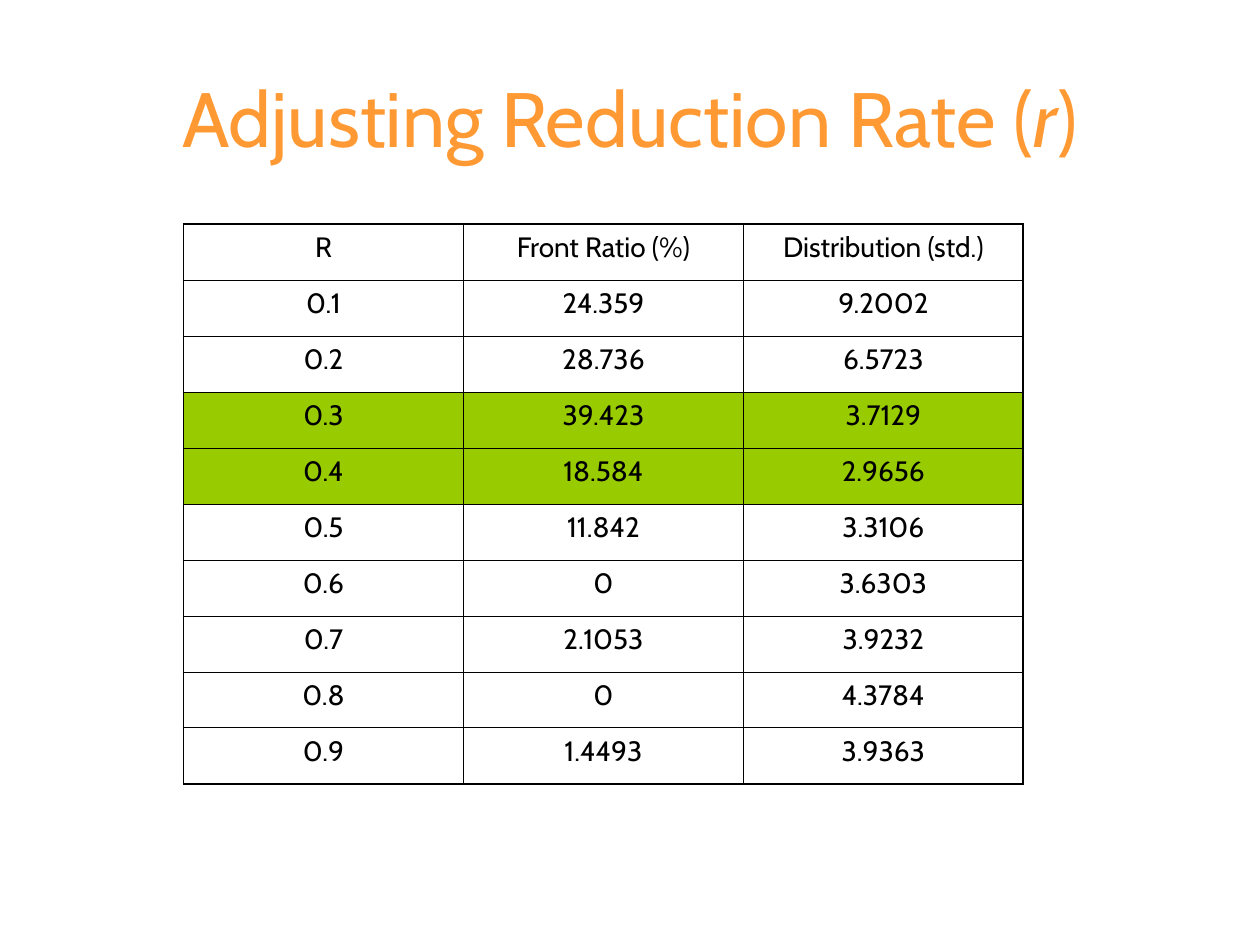
from typing import NamedTuple

from lxml import etree
from pptx import Presentation
from pptx import util as u
from pptx.dml.color import RGBColor
from pptx.enum import text
from pptx.oxml.ns import qn

ORANGE = RGBColor(0xFF, 0x99, 0x33)
GREEN = RGBColor(0x99, 0xCC, 0x00)
BLACK = RGBColor(0x00, 0x00, 0x00)
OUTER_LINE, INNER_LINE = u.Pt(1.08), u.Pt(0.45)

TITLE_FORMAT = {"name": "Cabin", "size": u.Pt(44)}
CELL_FORMAT = {"name": "Cabin", "size": u.Pt(16), "bold": False}
MARGINS = {
    "margin_left": u.Cm(0.25),
    "margin_right": u.Cm(0.25),
    "margin_top": u.Cm(0.13),
    "margin_bottom": u.Cm(0.13),
}


class Result(NamedTuple):
    rate: str
    front_ratio: str
    distribution: str
    highlighted: bool = False


RESULTS = [
    Result("R", "Front Ratio (%)", "Distribution (std.)"),
    Result("0.1", "24.359", "9.2002"),
    Result("0.2", "28.736", "6.5723"),
    Result("0.3", "39.423", "3.7129", True),
    Result("0.4", "18.584", "2.9656", True),
    Result("0.5", "11.842", "3.3106"),
    Result("0.6", "0", "3.6303"),
    Result("0.7", "2.1053", "3.9232"),
    Result("0.8", "0", "4.3784"),
    Result("0.9", "1.4493", "3.9363"),
]


def set_values(target, values: dict) -> None:
    for name, value in values.items():
        setattr(target, name, value)


def set_font(font, values: dict, color: RGBColor) -> None:
    set_values(font, values)
    font.color.rgb = color


def set_border(cell, side: str, width: int) -> None:
    properties = cell._tc.get_or_add_tcPr()
    line = etree.SubElement(properties, qn(f"a:ln{side}"), w=str(int(width)))
    fill = etree.SubElement(line, qn("a:solidFill"))
    etree.SubElement(fill, qn("a:srgbClr"), val=str(BLACK))


def add_title(page) -> None:
    title = page.shapes.title
    set_values(title, {"left": u.Cm(1.27), "top": u.Cm(0.76),
                       "width": u.Cm(22.86), "height": u.Cm(3.18)})
    frame = title.text_frame
    set_values(frame, {"word_wrap": True, "vertical_anchor": text.MSO_ANCHOR.MIDDLE,
                       "auto_size": text.MSO_AUTO_SIZE.NONE, **MARGINS})
    para = frame.paragraphs[0]
    para.alignment = text.PP_ALIGN.CENTER
    for words, italic in (("Adjusting Reduction Rate (", False), ("r", True), (")", False)):
        span = para.add_run()
        span.text = words
        set_font(span.font, TITLE_FORMAT | {"italic": italic}, ORANGE)


def add_results_table(page, results: list[Result]) -> None:
    columns = 3
    table = page.shapes.add_table(len(results), columns, u.Cm(3.7), u.Cm(4.52),
                                  u.Cm(16.93), u.Cm(11.29)).table
    table.first_row = table.horz_banding = False
    for row, result in enumerate(results):
        for column, words in enumerate(result[:columns]):
            cell = table.cell(row, column)
            set_values(cell, MARGINS | {"vertical_anchor": text.MSO_ANCHOR.TOP})

            # Outer edges are heavier than the inner grid
            outer_sides = {"L": column == 0, "R": column == columns - 1,
                           "T": row == 0, "B": row == len(results) - 1}
            for side, outer in outer_sides.items():
                set_border(cell, side, OUTER_LINE if outer else INNER_LINE)

            if result.highlighted:
                cell.fill.solid()
                cell.fill.fore_color.rgb = GREEN
            else:
                cell.fill.background()

            para = cell.text_frame.paragraphs[0]
            para.alignment = text.PP_ALIGN.CENTER
            span = para.add_run()
            span.text = words
            set_font(span.font, CELL_FORMAT, BLACK)


def main() -> None:
    deck = Presentation()
    set_values(deck, {"slide_width": u.Cm(25.4), "slide_height": u.Cm(19.05)})
    page = deck.slides.add_slide(deck.slide_layouts.get_by_name("Title Only"))
    add_title(page)
    add_results_table(page, RESULTS)
    deck.save("out.pptx")


if __name__ == "__main__":
    main()
